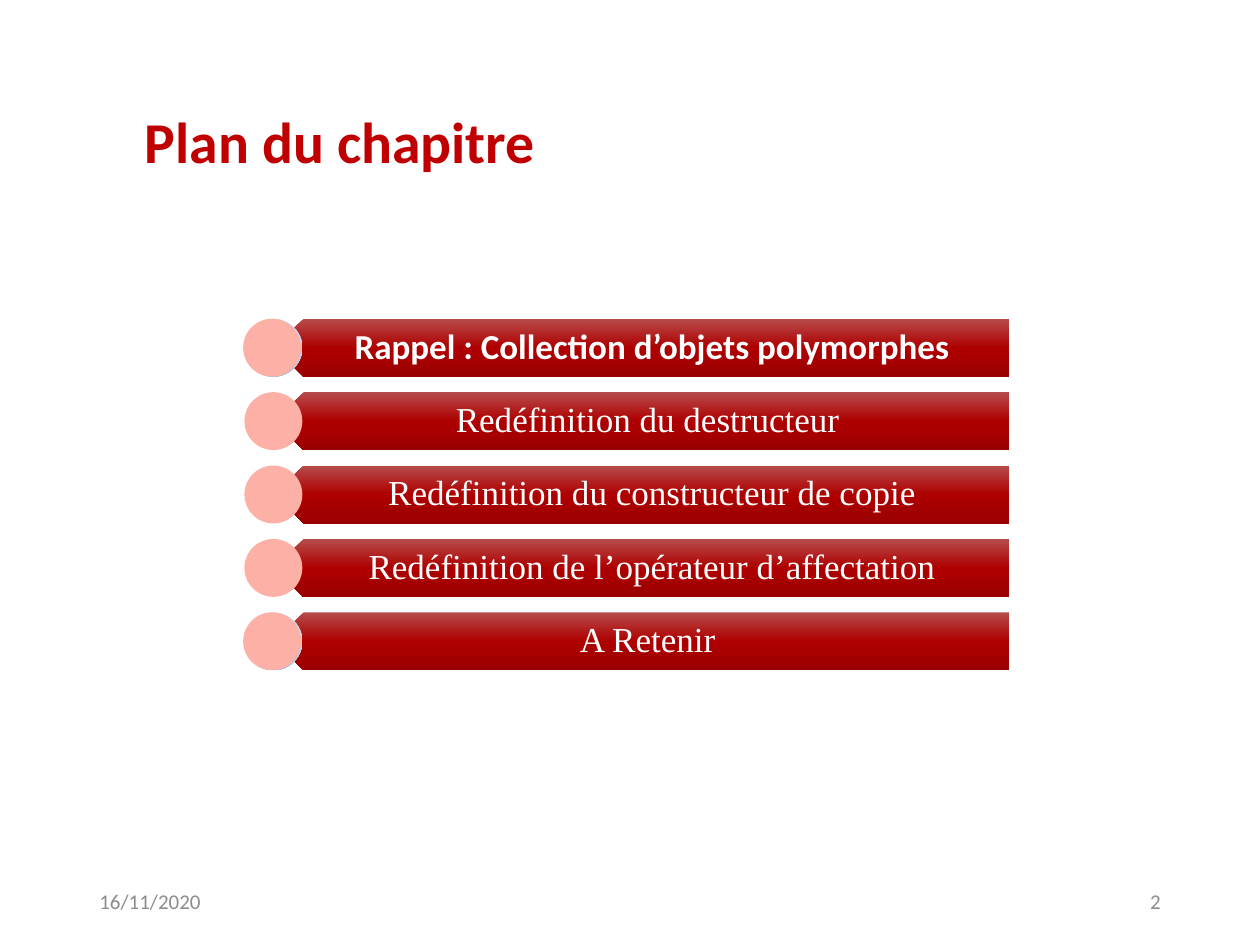
"""Build the chapter plan slide: a title, five red banner rows and a footer."""
import lxml.etree
import pptx
import pptx.dml.color
import pptx.enum.shapes
import pptx.enum.text
import pptx.oxml
import pptx.oxml.ns
import pptx.util

Inches = pptx.util.Inches
ALIGN = pptx.enum.text.PP_ALIGN
ANCHOR = pptx.enum.text.MSO_ANCHOR
SHAPE = pptx.enum.shapes.MSO_SHAPE

TITLE = "Plan du chapitre"
SECTIONS = [
    "Rappel : Collection d’objets polymorphes",
    "Redéfinition du destructeur ",
    "Redéfinition du constructeur de copie",
    "Redéfinition de l’opérateur d’affectation",
    "A Retenir ",
]
FOOTERS = [("16/11/2020", 0.69, ALIGN.LEFT), ("2", 7.06, ALIGN.RIGHT)]

THEME = {
    "sans": "Calibri", "serif": "Times New Roman",
    "title": "C00000", "banner_text": "FFFFFF", "footer": "8C8C8C", "dot": "FCB0A6",
    "banner_gradient": ["B74B4B", "AE0000", "9B0000"],
    "rim_gradient": ["CEDCEF", "C2D4ED", "A9BCD6"],
    "title_size": 33, "banner_size": 20, "footer_size": 12,
}
FIRST_TOP, PITCH, ROW_HEIGHT = 2.53, 0.5825, 0.46
DOT_LEFT, RIM_OFFSET = 1.94, 0.01


def add_text(slide, text, box, font, size, color, bold=False, align=ALIGN.LEFT,
             anchor=ANCHOR.MIDDLE, insets=(0.1, 0.05, 0.1, 0.05)):
    shape = slide.shapes.add_textbox(*map(Inches, box))
    frame = shape.text_frame
    frame.word_wrap = True
    frame.vertical_anchor = anchor
    frame.margin_left, frame.margin_top, frame.margin_right, frame.margin_bottom = map(Inches, insets)
    paragraph = frame.paragraphs[0]
    paragraph.alignment = align
    run = paragraph.add_run()
    run.text = text
    run.font.name = font
    run.font.size = pptx.util.Pt(size)
    run.font.bold = bold
    run.font.color.rgb = pptx.dml.color.RGBColor.from_string(color)
    return paragraph


def add_shape(slide, kind, box, fill):
    shape = slide.shapes.add_shape(kind, *map(Inches, box))
    shape.shadow.inherit = False
    shape.line.fill.background()
    if isinstance(fill, str):
        shape.fill.solid()
        shape.fill.fore_color.rgb = pptx.dml.color.RGBColor.from_string(fill)
    else:
        set_gradient(shape, fill)
    return shape


def set_gradient(shape, colors):
    stops = "".join(
        f'<a:gs pos="{index * 50000}"><a:srgbClr val="{color}"/></a:gs>'
        for index, color in enumerate(colors))
    gradient = pptx.oxml.parse_xml(
        f'<a:gradFill {pptx.oxml.ns.nsdecls("a")} rotWithShape="0"><a:gsLst>{stops}</a:gsLst>'
        '<a:lin ang="5400000" scaled="0"/></a:gradFill>')
    geometry = shape.element.spPr.find(pptx.oxml.ns.qn("a:prstGeom"))
    geometry.addnext(gradient)


def add_section(slide, index, text):
    top = FIRST_TOP + index * PITCH
    first, last = index == 0, index == len(SECTIONS) - 1
    banner = add_shape(slide, SHAPE.PENTAGON, (2.18, top, 5.83, ROW_HEIGHT), THEME["banner_gradient"])
    banner.rotation = 180
    paragraph = add_text(
        slide, text, (2.29, top, 5.72, ROW_HEIGHT), THEME["sans" if first else "serif"],
        THEME["banner_size"], THEME["banner_text"], bold=first, align=ALIGN.CENTER,
        insets=(0.21, 0.08, 0.16, 0.08))
    paragraph.line_spacing = 0.9
    dot_left = DOT_LEFT
    if first or last:
        add_shape(slide, SHAPE.OVAL, (DOT_LEFT, top, ROW_HEIGHT, ROW_HEIGHT), THEME["rim_gradient"])
        dot_left -= RIM_OFFSET
    add_shape(slide, SHAPE.OVAL, (dot_left, top, ROW_HEIGHT, ROW_HEIGHT), THEME["dot"])


def main():
    presentation = pptx.Presentation()
    presentation.slide_width, presentation.slide_height = Inches(10), Inches(7.5)
    slide = presentation.slides.add_slide(presentation.slide_layouts[6])
    add_text(slide, TITLE, (1.14, 0.84, 8.26, 0.77), THEME["sans"], THEME["title_size"],
             THEME["title"], bold=True, anchor=ANCHOR.TOP, insets=(0.01, 0, 0, 0))
    for index, text in enumerate(SECTIONS):
        add_section(slide, index, text)
    for text, left, align in FOOTERS:
        add_text(slide, text, (left, 6.95, 2.25, 0.4), THEME["sans"], THEME["footer_size"],
                 THEME["footer"], align=align)
    presentation.save("out.pptx")


if __name__ == "__main__":
    main()
